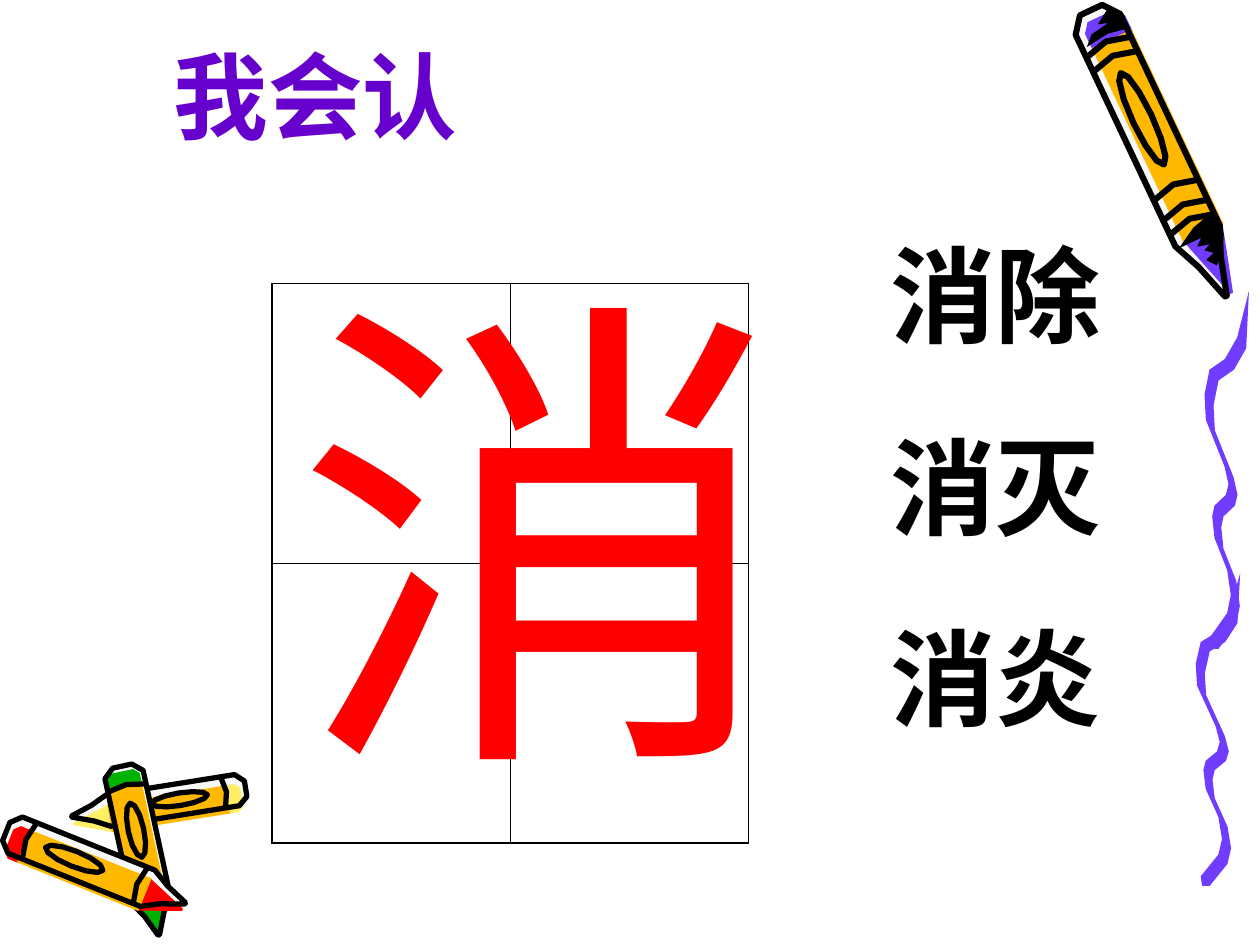
"""Build the character-recognition slide with crayon decorations on a 1000 x 750 grid."""
import math
from dataclasses import dataclass

import pptx
import pptx.dml.color
import pptx.enum.text
import pptx.oxml.ns
import pptx.util
from lxml import etree

COLS, ROWS = 1000, 750
UNIT = pptx.util.Inches(0.01)
COLORS = {
    "violet": "703DFF", "amber": "FFB800", "paper": "F8F8F8", "lemon": "FFEF66",
    "red": "FF0000", "green": "00B200", "black": "000000", "title": "6600CC",
}
ALIGN = pptx.enum.text.PP_ALIGN
Point = tuple[float, float]


@dataclass(frozen=True)
class Crayon:
    tail: Point
    tip: Point
    width: float
    color: str
    shift: float
    ink: float = 3
    bands: tuple[float, ...] = (0.13, 0.75)
    spiky: bool = False

    def place(self, shares: list[Point], shift: float = 0) -> list[Point]:
        """Turn (share of length, share of width) pairs into grid points."""
        dx, dy = self.tip[0] - self.tail[0], self.tip[1] - self.tail[1]
        breadth = self.width / math.hypot(dx, dy)
        return [(self.tail[0] + along * dx + (across + shift) * breadth * dy,
                 self.tail[1] + along * dy - (across + shift) * breadth * dx)
                for along, across in shares]


@dataclass(frozen=True)
class Squiggle:
    col: float
    row: float
    width: float
    height: float


@dataclass(frozen=True)
class Label:
    col: float
    row: float
    width: float
    height: float
    lines: tuple[str, ...]
    size: int
    color: str
    font: str = "Arial"
    bold: bool = True
    align: ALIGN = ALIGN.LEFT
    gap: float = 0


def mirror(half: list[Point]) -> list[Point]:
    """Complete a half profile with its reflection across the crayon's axis."""
    return half + [(along, -across) for along, across in reversed(half)]


OUTLINE = mirror([(0, 0.25), (0.05, 0.5), (0.79, 0.5), (0.88, 0.25), (1, 0.02)])
CAP = mirror([(0.03, 0.3), (0.06, 0.45), (0.12, 0.45)])
BARREL = mirror([(0.11, 0.45), (0.79, 0.45)])
NOSE = mirror([(0.78, 0.45), (0.87, 0.28), (1, 0.03)])
OVAL = [(0.38 + 0.16 * math.cos(a), 0.2 * math.sin(a))
        for a in (k * math.tau / 12 for k in range(12))]
CAP_SPIKES = [(0.1, -0.4), (0.07, -0.2), (0.06, 0.2), (0.05, 0), (0.02, 0.3),
              (0.06, 0.5), (0.1, 0.45), (0.09, 0.1)]
NOSE_SPIKES = [(0.8, -0.45), (0.76, 0), (0.74, 0.5), (0.82, 0.5), (0.88, 0.25), (0.9, 0.1),
               (0.87, -0.05), (0.86, 0.15), (0.84, 0), (0.83, 0.15), (0.82, -0.1), (0.8, 0.05)]
RIBBON_EDGE = [(0.72, 0.13), (0.45, 0.19), (0.11, 0.22), (0, 0.29), (0.03, 0.36), (0.44, 0.49),
               (0.53, 0.54), (0.47, 0.57), (0.22, 0.6), (0.17, 0.63), (0.22, 0.69), (0.5, 0.78),
               (0.58, 0.85), (0.5, 0.9), (0.11, 0.97)]
RIBBON_START, RIBBON_END = (0.98, 0), (0.14, 1)
RIBBON_SHIFT = (0.2, 0.03)

SMALL_CRAYONS = (
    Crayon((195, 626), (57, 648), 25, "lemon", shift=0.25),
    Crayon((97, 608), (126, 742), 31, "green", shift=-0.05),
    Crayon((5, 660), (147, 717), 31, "red", shift=-0.18),
)
LARGE_CRAYON = Crayon((866, 8), (973, 235), 39, "violet", shift=0.13, ink=3.5,
                      bands=(0.13, 0.18, 0.63, 0.7, 0.75), spiky=True)
SQUIGGLES = (Squiggle(949, 455, 36, 248), Squiggle(956, 231, 36, 284))
TITLE = Label(42, 25, 417, 171, ("我会认",), 54, "title", "Noto Sans CJK JP", align=ALIGN.CENTER)
CHARACTER = Label(224, 178, 378, 477, ("消",), 280, "red", bold=False)
WORDS = Label(697, 178, 205, 414, ("消除", "消灭", "消炎"), 60, "black", gap=37.5)


def rgb(name: str) -> pptx.dml.color.RGBColor:
    return pptx.dml.color.RGBColor.from_string(COLORS[name])


def add_path(shapes, points: list[Point], close: bool):
    emu = [(x * UNIT, y * UNIT) for x, y in points]
    builder = shapes.build_freeform(*emu[0])
    builder.add_line_segments(emu[1:], close=close)
    sp = builder.convert_to_shape()
    sp.shadow.inherit = False
    return sp


def draw_area(shapes, points: list[Point], color: str) -> None:
    sp = add_path(shapes, points, close=True)
    sp.fill.solid()
    sp.fill.fore_color.rgb = rgb(color)
    sp.line.fill.background()


def draw_ink(shapes, points: list[Point], weight: float, close: bool = True) -> None:
    sp = add_path(shapes, points, close)
    sp.fill.background()
    sp.line.color.rgb = rgb("black")
    sp.line.width = pptx.util.Pt(weight)


def draw_crayon(s, crayon: Crayon) -> None:
    shapes = s.shapes.add_group_shape().shapes
    draw_area(shapes, crayon.place(OUTLINE), "paper")
    for part, color in ((NOSE, crayon.color), (CAP, crayon.color), (BARREL, "amber")):
        draw_area(shapes, crayon.place(part, crayon.shift), color)
    if crayon.spiky:
        for spikes in (CAP_SPIKES, NOSE_SPIKES):
            draw_area(shapes, crayon.place(spikes), "black")
    for outline in (OUTLINE, OVAL):
        draw_ink(shapes, crayon.place(outline), crayon.ink)
    for along in crayon.bands:
        band = [(along, -0.5), (along - 0.02, 0), (along, 0.5)]
        draw_ink(shapes, crayon.place(band), crayon.ink, close=False)


def draw_squiggle(s, squiggle: Squiggle) -> None:
    right, down = RIBBON_SHIFT
    far_edge = [(x + right, y + down) for x, y in reversed(RIBBON_EDGE)]
    ribbon = [RIBBON_START, *RIBBON_EDGE, RIBBON_END, *far_edge]
    draw_area(s.shapes, [(squiggle.col + x * squiggle.width, squiggle.row + y * squiggle.height)
                         for x, y in ribbon], "violet")


def draw_label(s, label: Label) -> None:
    box = (label.col, label.row, label.width, label.height)
    tf = s.shapes.add_textbox(*(v * UNIT for v in box)).text_frame
    tf.word_wrap = True
    tf.text = "\n".join(label.lines)
    for i, p in enumerate(tf.paragraphs):
        p.alignment = label.align
        if i:
            p.space_before = pptx.util.Pt(label.gap)
        for r in p.runs:
            r.font.name = label.font
            r.font.size = pptx.util.Pt(label.size)
            r.font.bold = label.bold
            r.font.color.rgb = rgb(label.color)


def set_border(cell, side: str, weight: float) -> None:
    qn = pptx.oxml.ns.qn
    ln = etree.SubElement(cell._tc.get_or_add_tcPr(), qn(f"a:{side}"), w=str(pptx.util.Pt(weight)))
    fill = etree.SubElement(ln, qn("a:solidFill"))
    etree.SubElement(fill, qn("a:srgbClr"), val=COLORS["black"])


def draw_writing_grid(s, col: int, row: int, cell_width: int, cell_height: int) -> None:
    outer, inner = 1.08, 0.45
    box = (col, row, 2 * cell_width, 2 * cell_height)
    table = s.shapes.add_table(2, 2, *(v * UNIT for v in box)).table
    table.first_row = table.horz_banding = False
    for r in range(2):
        for c in range(2):
            cell = table.cell(r, c)
            on_edge = {"lnL": c == 0, "lnR": c == 1, "lnT": r == 0, "lnB": r == 1}
            for side, edge in on_edge.items():
                set_border(cell, side, outer if edge else inner)
            cell.fill.background()


def main() -> None:
    prs = pptx.Presentation()
    prs.slide_width, prs.slide_height = COLS * UNIT, ROWS * UNIT
    s = prs.slides.add_slide(prs.slide_layouts[6])
    for crayon in (*SMALL_CRAYONS, LARGE_CRAYON):
        draw_crayon(s, crayon)
    for squiggle in SQUIGGLES:
        draw_squiggle(s, squiggle)
    draw_label(s, TITLE)
    draw_writing_grid(s, 216, 225, 189, 222)
    draw_label(s, CHARACTER)
    draw_label(s, WORDS)
    prs.save("out.pptx")


if __name__ == "__main__":
    main()
